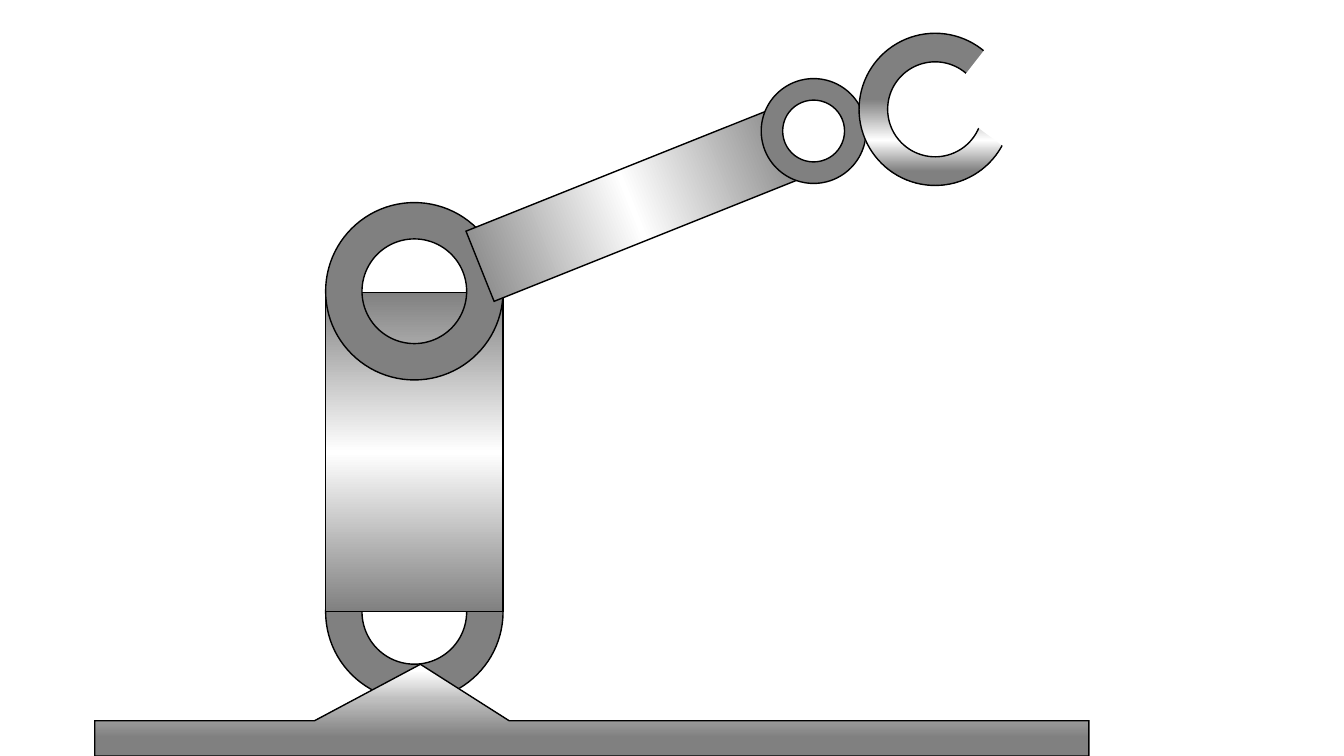
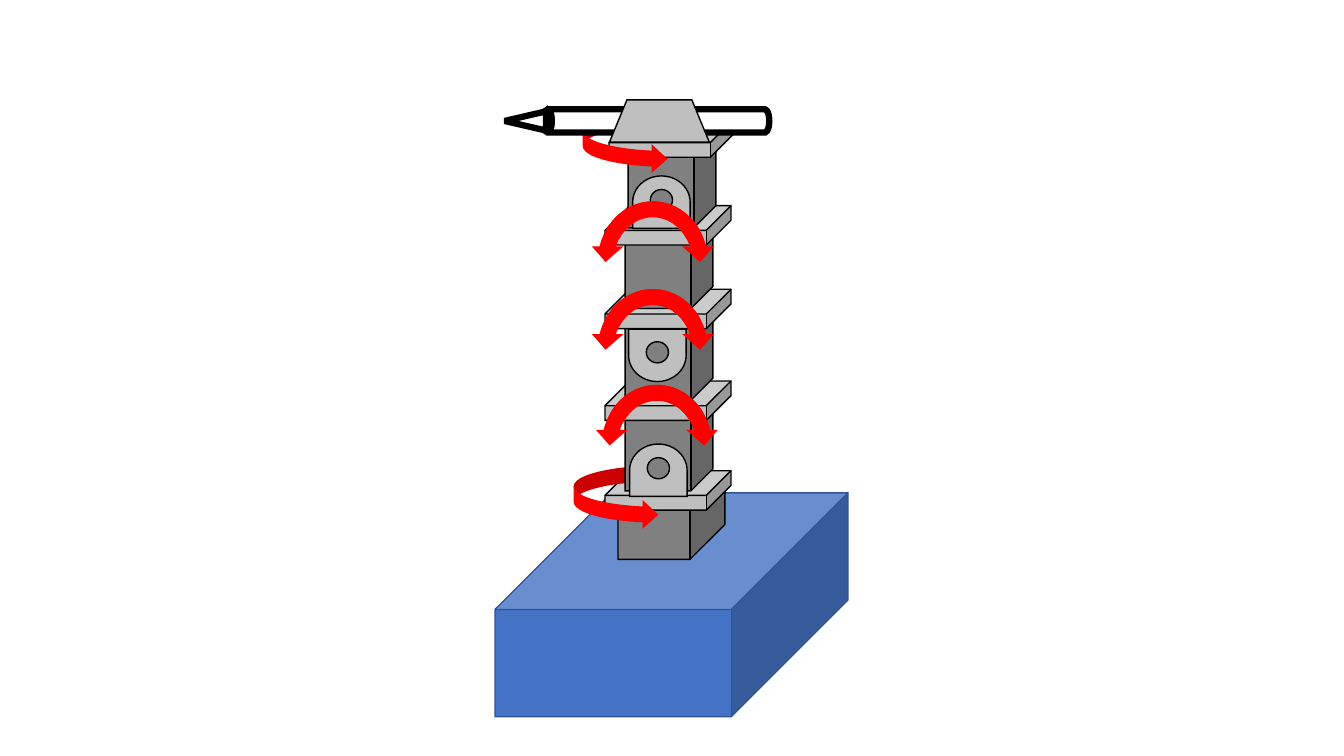
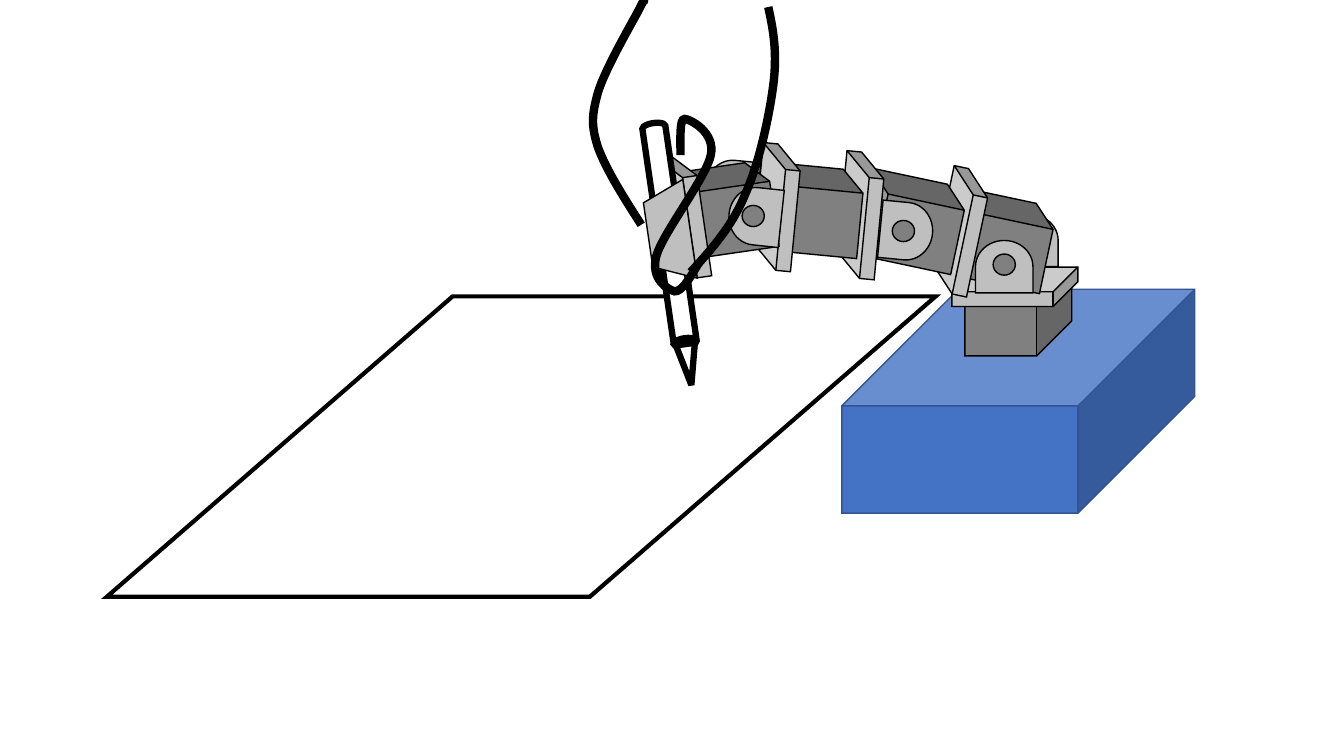
from math import cos, radians, sin

from lxml.etree import SubElement
from pptx import Presentation
from pptx.dml.color import RGBColor
from pptx.enum.shapes import MSO_SHAPE
from pptx.oxml.ns import qn
from pptx.util import Inches, Pt

BLACK = RGBColor(0x00, 0x00, 0x00)
WHITE = RGBColor(0xFF, 0xFF, 0xFF)
STEEL = RGBColor(0x80, 0x80, 0x80)
SILVER = RGBColor(0xBF, 0xBF, 0xBF)
BLUE = RGBColor(0x44, 0x72, 0xC4)
BLUE_EDGE = RGBColor(0x32, 0x54, 0x91)
RED = RGBColor(0xFF, 0x00, 0x00)

SHEEN = [(0, STEEL), (50, WHITE), (100, STEEL)]
CLAW_SHEEN = [(44, STEEL), (68, WHITE), (86, STEEL)]
FLOOR_SHEEN = [(7, WHITE), (38, SILVER), (80, STEEL)]


# Formatting
def set_gradient(shape, stops, turns_with_shape):
    """Fill from top to bottom with (percent, colour) stops."""
    shape.fill.gradient()
    shape.fill.gradient_angle = 270
    gradient = shape.element.spPr.find(qn("a:gradFill"))
    gradient.set("rotWithShape", "1" if turns_with_shape else "0")
    stop_list = gradient.find(qn("a:gsLst"))
    for old_stop in list(stop_list):
        stop_list.remove(old_stop)
    for percent, colour in stops:
        stop = SubElement(stop_list, qn("a:gs"), pos=str(percent * 1000))
        SubElement(stop, qn("a:srgbClr"), val=str(colour))


def paint(shape, fill, edge=BLACK, width=1, turns_with_shape=True):
    shape.shadow.inherit = False
    if fill is None:
        shape.fill.background()
    elif isinstance(fill, list):
        set_gradient(shape, fill, turns_with_shape)
    else:
        shape.fill.solid()
        shape.fill.fore_color.rgb = fill
    if edge is None:
        shape.line.fill.background()
        return
    shape.line.color.rgb = edge
    shape.line.width = Pt(width)
    SubElement(shape.element.spPr.find(qn("a:ln")), qn("a:miter"), lim="800000")


# Basic elements
def group(shapes):
    return shapes.add_group_shape().shapes


def part(shapes, kind, box, fill, turn=0, flip=None, adjust=(), **look):
    """Add a preset shape; box is left, top, width, height."""
    shape = shapes.add_shape(kind, *map(Inches, box))
    for index, value in enumerate(adjust):
        shape.adjustments[index] = value
    shape.rotation = turn
    if flip:
        shape.element.spPr.xfrm.set("flip" + flip, "1")
    paint(shape, fill, **look)


def polyline(shapes, points, closed):
    corners = [(Inches(x), Inches(y)) for x, y in points]
    builder = shapes.build_freeform(*corners[0], scale=1.0)
    builder.add_line_segments(corners[1:], close=closed)
    return builder.convert_to_shape()


def stroke(shapes, knots, width):
    """Draw joined cubic curves: a start, then two handles and an end per curve."""
    shape = polyline(shapes, knots[::3], closed=False)
    straights = list(shape.element.iter(qn("a:lnTo")))
    for index, straight in enumerate(straights):
        curve = SubElement(straight.getparent(), qn("a:cubicBezTo"))
        for x, y in knots[3 * index + 1:3 * index + 4]:
            SubElement(curve, qn("a:pt"), x=str(Inches(x) - shape.left),
                       y=str(Inches(y) - shape.top))
        straight.getparent().remove(straight)
    paint(shape, None, width=width)


def centred(x, y, width, height):
    return x - width / 2, y - height / 2, width, height


# Robot parts
def ring(shapes, left, top, size):
    part(shapes, MSO_SHAPE.DONUT, (left, top, size, size), STEEL, adjust=[0.205])


def segment(shapes, left, top, turn=0):
    part(shapes, MSO_SHAPE.CUBE, (left, top, 0.87, 0.99), STEEL, turn)


def plate(shapes, left, top, turn=0):
    part(shapes, MSO_SHAPE.CUBE, (left, top, 1.25, 0.39), SILVER, turn, adjust=[0.628])


def joint(shapes, left, top, turn=270, flip=None):
    """Add a bracket with its pivot set slightly along the bracket's axis."""
    width, height, pivot_shift = 0.52, 0.57, -0.03 if flip else 0.02
    part(shapes, MSO_SHAPE.FLOWCHART_DELAY, (left, top, width, height), SILVER, turn, flip)
    pivot_x = left + width / 2 + pivot_shift * cos(radians(turn))
    pivot_y = top + height / 2 + pivot_shift * sin(radians(turn))
    part(shapes, MSO_SHAPE.OVAL, centred(pivot_x, pivot_y, 0.22, 0.21), STEEL)


def base(shapes, left, top):
    part(shapes, MSO_SHAPE.CUBE, (left, top, 3.5, 2.22), BLUE,
         adjust=[0.521], edge=BLUE_EDGE)


def pedestal(shapes, left, top):
    part(shapes, MSO_SHAPE.CUBE, (left, top, 1.06, 0.84), STEEL, adjust=[0.413])
    plate(shapes, left - 0.13, top - 0.04)


def pen_gripper(shapes, x, y, turn=0):
    """Add the pen, centred on x, y, and the clamp that holds it."""
    def along(distance):
        return x + distance * cos(radians(turn)), y + distance * sin(radians(turn))

    part(shapes, MSO_SHAPE.CAN, centred(x, y, 0.23, 2.24), WHITE,
         270 + turn, "H", [0.366], width=4.5)
    part(shapes, MSO_SHAPE.ISOSCELES_TRIANGLE, centred(*along(-1.3), 0.19, 0.41), WHITE,
         270 + turn, width=4.5)
    part(shapes, MSO_SHAPE.TRAPEZOID, centred(*along(0.03), 0.99, 0.42), SILVER,
         turn, adjust=[0.413])


def spin_arrow(shapes, left, top):
    part(shapes, MSO_SHAPE.CURVED_RIGHT_ARROW, (left, top, 0.84, 0.63), RED,
         adjust=[0.25, 0.454, 0.25], edge=None)


def swing_arrow(shapes, left, top):
    for flip in ("H", None):
        part(shapes, MSO_SHAPE.CIRCULAR_ARROW, (left, top, 1.25, 1.36), RED, flip=flip,
             adjust=[0.125, 11.423, 204.577, 128.796, 0.125], edge=None)


# Slides
def build_side_view(slide):
    robot = group(slide.shapes)
    ring(robot, 3.23, 5.19, 1.76)
    part(robot, MSO_SHAPE.RECTANGLE, (3.23, 2.9, 1.76, 3.17), SHEEN)
    ring(robot, 3.23, 2.01, 1.76)
    part(robot, MSO_SHAPE.RECTANGLE, (5.89, 0.42, 0.75, 3.24), SHEEN, 68.2)
    ring(robot, 7.55, 0.78, 1.04)
    # Claw: a ring opened by a white wedge
    part(robot, MSO_SHAPE.DONUT, (8.52, 0.33, 1.51, 1.51), CLAW_SHEEN, 82.1,
         adjust=[0.188], turns_with_shape=False)
    part(robot, MSO_SHAPE.TRAPEZOID, (9.03, 0.61, 1.38, 0.71), WHITE, 82.1, "V",
         [0.974], edge=WHITE)
    # Floor with its support peak
    floor = polyline(robot, [(0.94, 7.15), (3.12, 7.15), (4.17, 6.59), (5.05, 7.15),
                             (10.8, 7.15), (10.8, 7.5), (0.94, 7.5)], closed=True)
    paint(floor, FLOOR_SHEEN)


def build_upright_arm(slide):
    robot = group(slide.shapes)
    base(robot, 4.91, 4.89)
    pedestal(robot, 6.13, 4.71)
    spin_arrow(robot, 5.69, 4.62)
    segment(robot, 6.2, 3.88)
    plate(robot, 6, 3.78)
    joint(robot, 6.27, 4.38)
    segment(robot, 6.2, 2.98)
    plate(robot, 6, 2.87)
    segment(robot, 6.2, 2.07)
    plate(robot, 6, 2.04)
    joint(robot, 6.26, 3.24, 90, "V")
    segment(robot, 6.23, 1.27)
    joint(robot, 6.3, 1.72)
    swing_arrow(robot, 5.89, 3.74)
    swing_arrow(robot, 5.85, 2.79)
    plate(robot, 6.04, 1.17)
    swing_arrow(robot, 5.85, 1.92)
    spin_arrow(robot, 5.78, 1.09)
    pen_gripper(robot, 6.51, 1.2)


def build_drawing_arm(slide):
    shapes = slide.shapes
    base(shapes, 8.35, 2.87)
    pedestal(group(shapes), 9.57, 2.69)
    joint(group(shapes), 9.95, 2.1)
    # Lower arm
    lower_arm = group(shapes)
    segment(lower_arm, 9.48, 1.89, 282)
    plate(lower_arm, 8.9, 2.1, 282)
    segment(lower_arm, 8.6, 1.7, 282)
    # Paper
    part(shapes, MSO_SHAPE.PARALLELOGRAM, (1.06, 2.94, 8.22, 2.98), None,
         adjust=[1.151], width=3)
    # Upper arm
    upper_arm = group(shapes)
    plate(upper_arm, 7.91, 1.94, 275.5)
    segment(upper_arm, 7.61, 1.59, 275.5)
    plate(upper_arm, 7.08, 1.86, 275.5)
    joint(upper_arm, 8.73, 2.01, 5.5, "V")
    joint(group(shapes), 7, 1.59, 185.4)
    # Wrist and pen
    wrist = group(shapes)
    segment(wrist, 6.74, 1.59, 261.7)
    plate(wrist, 6.15, 1.95, 261.7)
    pen_gripper(wrist, 6.64, 2.33, -98.3)
    # Front brackets
    joint(group(shapes), 9.7, 2.36)
    joint(group(shapes), 7.23, 1.86, 186.1)
    # Guiding hand
    hand_back = [(6.36, 2.23), (6.18, 1.95), (6.01, 1.68), (5.93, 1.46),
                 (5.86, 1.24), (5.87, 1.14), (5.93, 0.92),
                 (6, 0.69), (6.25, 0.26), (6.33, 0.11),
                 (6.4, -0.03), (6.39, 0), (6.38, 0.03)]
    hand_front = [(6.85, 2.7), (7.05, 2.48), (7.26, 2.25), (7.39, 1.93),
                  (7.53, 1.62), (7.63, 1.15), (7.67, 0.84),
                  (7.71, 0.52), (7.67, 0.3), (7.62, 0.07)]
    fingers = [(6.93, 2.61), (6.85, 2.75), (6.76, 2.9), (6.69, 2.89),
               (6.62, 2.87), (6.45, 2.77), (6.51, 2.54),
               (6.57, 2.32), (7, 1.77), (7.05, 1.54),
               (7.1, 1.31), (6.84, 1.18), (6.79, 1.18),
               (6.74, 1.18), (6.75, 1.36), (6.75, 1.54)]
    for knots in (hand_back, hand_front, fingers):
        stroke(shapes, knots, width=6)


def main():
    deck = Presentation()
    deck.slide_width, deck.slide_height = Inches(13.33), Inches(7.5)
    blank = deck.slide_layouts[6]
    for build in (build_side_view, build_upright_arm, build_drawing_arm):
        build(deck.slides.add_slide(blank))
    deck.save("out.pptx")


if __name__ == "__main__":
    main()
